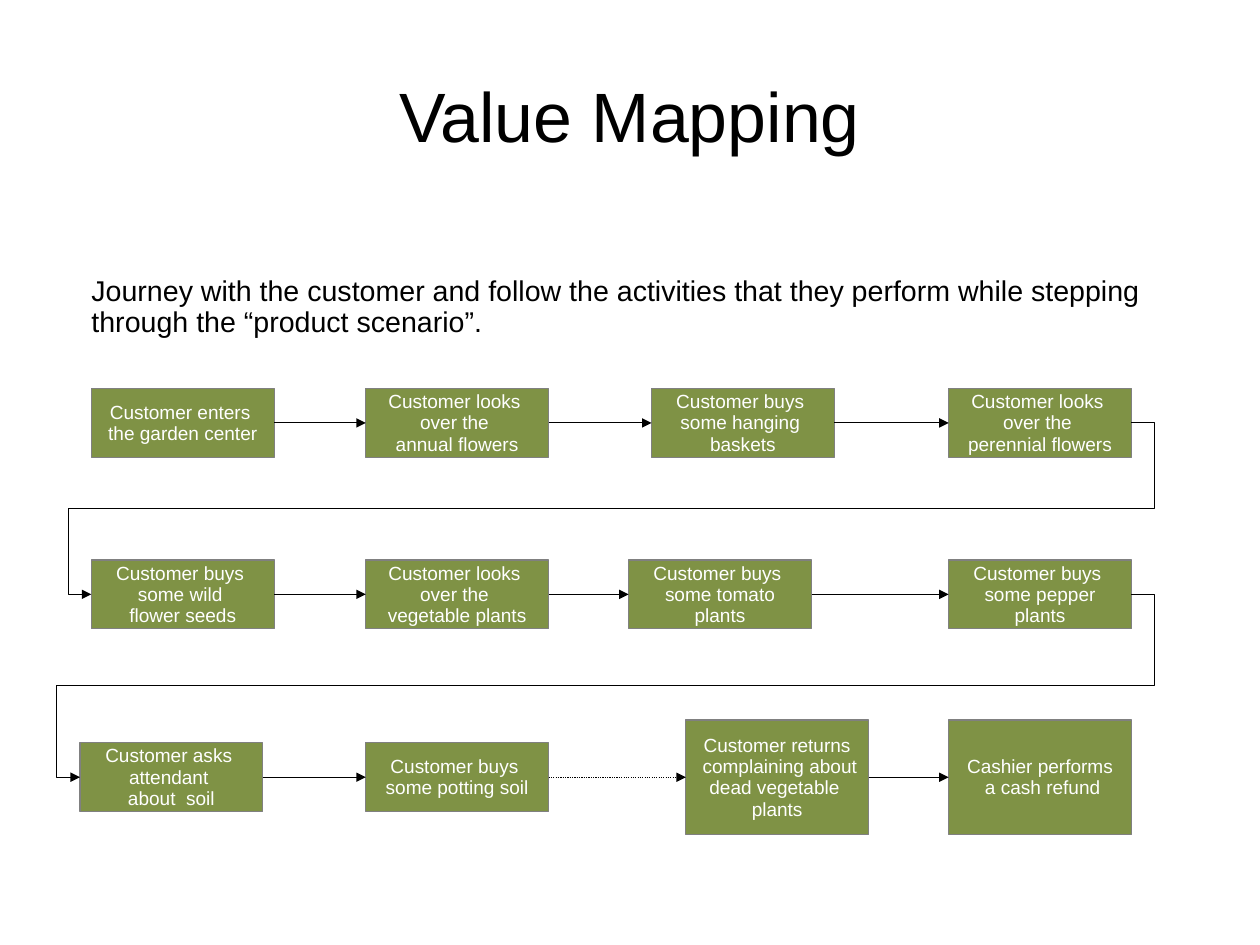
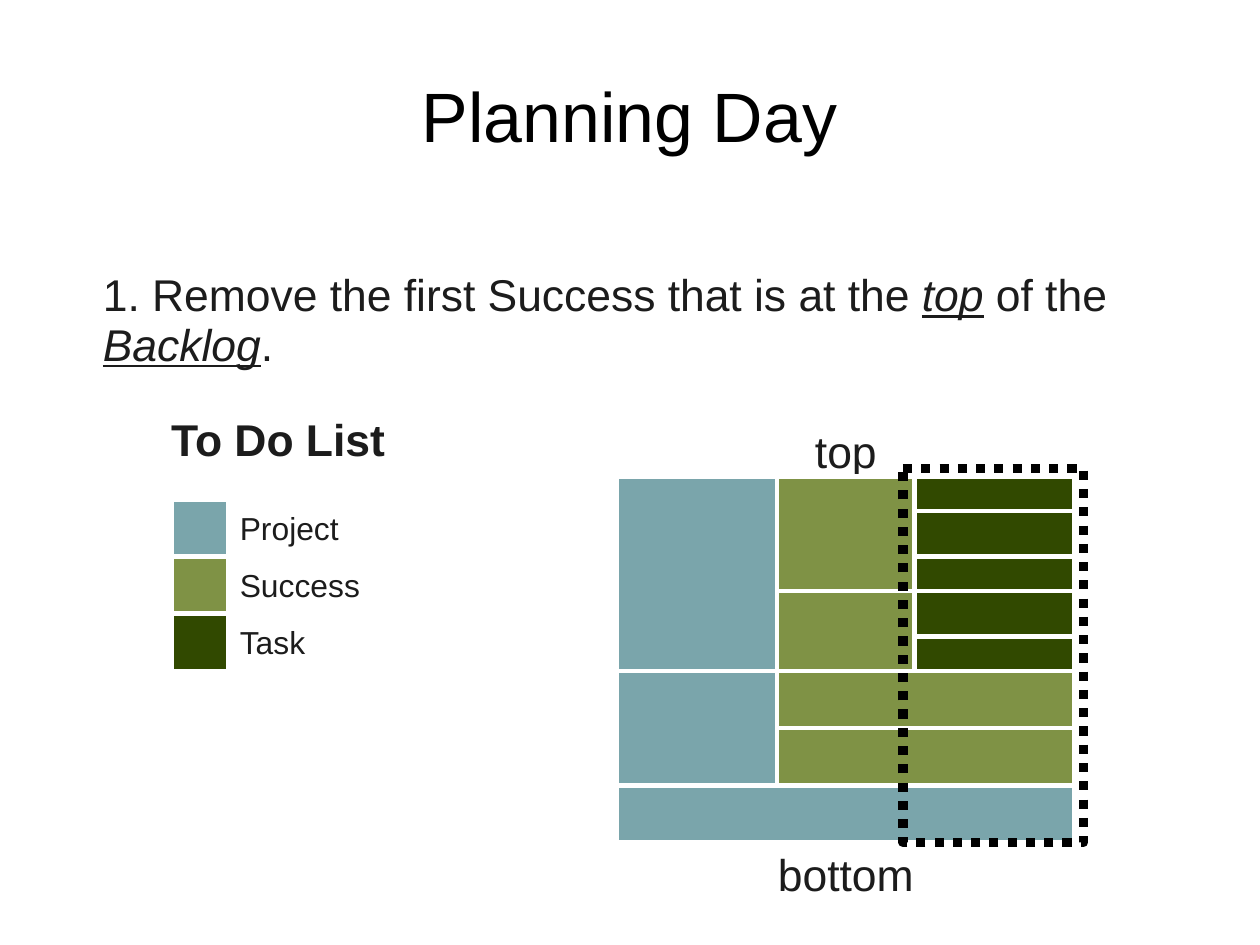
from itertools import pairwise

from lxml import etree
from pptx import Presentation
from pptx.dml.color import RGBColor
from pptx.enum.dml import MSO_LINE
from pptx.enum.shapes import MSO_CONNECTOR, MSO_SHAPE
from pptx.enum.text import MSO_ANCHOR, MSO_AUTO_SIZE, PP_ALIGN
from pptx.oxml.ns import qn
from pptx.util import Cm, Inches, Pt

ROUNDED = MSO_SHAPE.ROUNDED_RECTANGLE
STRAIGHT, ELBOW = MSO_CONNECTOR.STRAIGHT, MSO_CONNECTOR.ELBOW
LEFT, CENTER = PP_ALIGN.LEFT, PP_ALIGN.CENTER
TOP, MIDDLE = MSO_ANCHOR.TOP, MSO_ANCHOR.MIDDLE
DOTTED = MSO_LINE.ROUND_DOT
LEFT_SITE, RIGHT_SITE = 1, 3

BLACK = RGBColor(0x00, 0x00, 0x00)
INK = RGBColor(0x1C, 0x1C, 0x1C)
WHITE = RGBColor(0xFF, 0xFF, 0xFF)
GRAY = RGBColor(0x80, 0x80, 0x80)
BLUE = RGBColor(0x7A, 0xA5, 0xAB)
GREEN = RGBColor(0x7F, 0x92, 0x45)
DARK_GREEN = RGBColor(0x31, 0x49, 0x00)

FONT = "Arial"
LINE_SPACING = 0.93
CELL = 0.1  # grid pitch in inches; all positions below count cells
TITLE_AREA = (5.5, 3.3, 99.2, 13.8)

BOX_WIDTH = 16
RETURN_OVERHANG = 2
# Each row: centre line, then (left, height, text) of its boxes
JOURNEY = [
    (37, [(8, 6, "Customer enters \nthe garden center"),
          (32, 6, "Customer looks \nover the \nannual flowers"),
          (57, 6, "Customer buys \nsome hanging \nbaskets"),
          (83, 6, "Customer looks \nover the \nperennial flowers")]),
    (52, [(8, 6, "Customer buys \nsome wild \nflower seeds"),
          (32, 6, "Customer looks \nover the \nvegetable plants"),
          (55, 6, "Customer buys \nsome tomato plants"),
          (83, 6, "Customer buys \nsome pepper plants")]),
    (68, [(7, 6, "Customer asks \nattendant \nabout  soil"),
          (32, 6, "Customer buys \nsome potting soil"),
          (60, 10, "Customer returns\n complaining about \ndead vegetable \nplants"),
          (83, 10, "Cashier performs\n a cash refund")]),
]
LATER_STEP = (2, 1)  # row and box whose outgoing arrow is dotted

BACKLOG_TOP = 41.7
# Each stack: colour, left, first row, width, heights
BACKLOG = [
    (BLUE, 54, 0, 14, [17, 10]),
    (BLUE, 54, 27, 40, [5]),
    (GREEN, 68, 0, 12, [10, 7]),
    (GREEN, 68, 17, 26, [5, 5]),
    (DARK_GREEN, 80, 0, 14, [3, 4, 3, 4, 3]),
]
LEGEND = [("Project", BLUE), ("Success", GREEN), ("Task", DARK_GREEN)]
LEGEND_TOP, SWATCH = 43.7, 5


def cells(*counts):
    return [Inches(count * CELL) for count in counts]


def write(frame, text, size, color, align=LEFT, anchor=TOP, top=0.08, bold=None):
    """Fill a frame; newlines part paragraphs, asterisks enclose emphasis."""
    frame.word_wrap = True
    frame.auto_size = MSO_AUTO_SIZE.NONE
    frame.vertical_anchor = anchor
    frame.margin_left = frame.margin_right = Inches(0.1)
    frame.margin_top, frame.margin_bottom = Inches(top), Inches(0.05)
    frame.text = text.replace("*", "")
    for para, line in zip(frame.paragraphs, text.split("\n")):
        para.alignment = align
        para.line_spacing = LINE_SPACING
        para.space_before = Pt(0)
        para.font.name, para.font.size = FONT, Pt(size)
        para.font.color.rgb = color
        para.font.bold = bold
        if "*" in line:
            para.clear()
            for index, part in enumerate(line.split("*")):
                span = para.add_run()
                span.text = part
                if index % 2:
                    span.font.italic = span.font.underline = True


def place(shape, area):
    shape.left, shape.top, shape.width, shape.height = cells(*area)


def add_page(deck, title, intro, intro_area, size, color, top):
    page = deck.slides.add_slide(deck.slide_layouts[1])
    heading, body = page.placeholders
    place(heading, TITLE_AREA)
    write(heading.text_frame, title, 44, BLACK, CENTER, MIDDLE, top=0.09)
    place(body, intro_area)
    write(body.text_frame, intro, size, color, top=top)
    for para in body.text_frame.paragraphs:
        properties = para._p.get_or_add_pPr()
        properties.set("marL", "0")
        properties.set("indent", "0")
        etree.SubElement(properties, qn("a:buNone"))
    return page


def add_block(page, area, fill, line=WHITE, weight=2.89):
    block = page.shapes.add_shape(ROUNDED, *cells(*area))
    block.adjustments[0] = 0
    block.shadow.inherit = False
    if fill is None:
        block.fill.background()
    else:
        block.fill.solid()
        block.fill.fore_color.rgb = fill
    block.line.color.rgb = line
    block.line.width = Pt(weight)
    return block


def add_label(page, area, text, size, **style):
    label = page.shapes.add_textbox(*cells(*area))
    write(label.text_frame, text, size, INK, **style)


def add_arrow(page, source, target, kind=STRAIGHT):
    arrow = page.shapes.add_connector(
        kind, source.left + source.width, source.top + source.height // 2,
        target.left, target.top + target.height // 2)
    arrow.begin_connect(source, RIGHT_SITE)
    arrow.end_connect(target, LEFT_SITE)
    arrow.line.color.rgb = BLACK
    arrow.line.width = Pt(0.75)
    properties = arrow._element.spPr
    etree.SubElement(properties.find(qn("a:ln")), qn("a:tailEnd"), type="triangle")
    etree.SubElement(properties, qn("a:effectLst"))
    return arrow


def add_return_arrow(page, source, target):
    """Lead from the end of one row around to the start of the next."""
    arrow = add_arrow(page, source, target, ELBOW)
    geometry = arrow._element.spPr.find(qn("a:prstGeom"))
    geometry.set("prst", "bentConnector5")
    guides = geometry.find(qn("a:avLst"))
    overhang = round(100000 * cells(RETURN_OVERHANG)[0] / arrow.width)
    for number, value in enumerate((-overhang, 50000, 100000 + overhang), 1):
        etree.SubElement(guides, qn("a:gd"), name=f"adj{number}", fmla=f"val {value}")


def add_step(page, left, middle, height, text):
    area = (left, middle - height / 2, BOX_WIDTH, height)
    step = add_block(page, area, GREEN, GRAY, 0.75)
    write(step.text_frame, text, 12, WHITE, CENTER, MIDDLE, top=0.06)
    return step


def add_stack(page, color, left, top, width, heights):
    for height in heights:
        add_block(page, (left, top, width, height), color)
        top += height


def build_value_mapping(deck):
    page = add_page(
        deck, "Value Mapping",
        "Journey with the customer and follow the activities that they perform "
        "while stepping through the “product scenario”.",
        (7, 23.4, 96, 8.6), 18, BLACK, 0.07)
    rows = [[add_step(page, left, middle, height, text)
             for left, height, text in boxes] for middle, boxes in JOURNEY]
    for row_index, row in enumerate(rows):
        for box_index, (source, target) in enumerate(pairwise(row)):
            arrow = add_arrow(page, source, target)
            if (row_index, box_index) == LATER_STEP:
                arrow.line.dash_style = DOTTED
    for upper, lower in pairwise(rows):
        add_return_arrow(page, upper[-1], lower[0])


def build_planning_day(deck):
    page = add_page(
        deck, "Planning Day",
        "1. Remove the first Success that is at the *top* of the *Backlog*.",
        (8, 23, 94, 9.6), 28, INK, 0.08)
    add_label(page, (14, 35.7, 24, 5.4), "To Do List", 28, bold=True)
    for text, top in (("top", 36.7), ("bottom", 73.7)):
        add_label(page, (55, top, 38, 5.3), text, 28, align=CENTER)
    for color, left, row, width, heights in BACKLOG:
        add_stack(page, color, left, BACKLOG_TOP + row, width, heights)
    for index, (name, color) in enumerate(LEGEND):
        top = LEGEND_TOP + index * SWATCH
        add_block(page, (15, top, SWATCH, SWATCH), color)
        add_label(page, (20, top + 0.4, 19, 4.1), name, 20, top=0.07)
    frame = add_block(page, (79, 41, 15.8, 32.7), None, BLACK, 5.75)
    frame.line.dash_style = DOTTED


def main():
    deck = Presentation()
    deck.slide_width, deck.slide_height = Cm(28), Cm(21)
    build_value_mapping(deck)
    build_planning_day(deck)
    deck.save("out.pptx")


if __name__ == "__main__":
    main()
